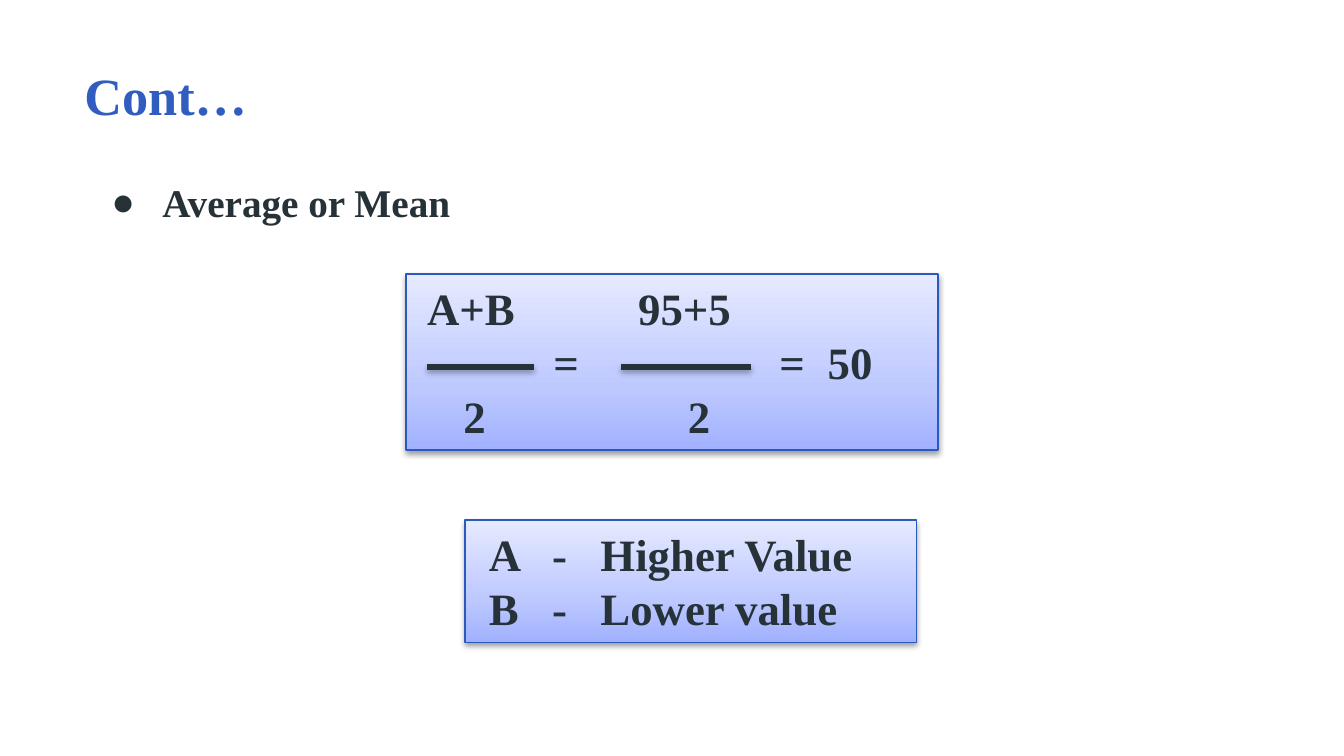
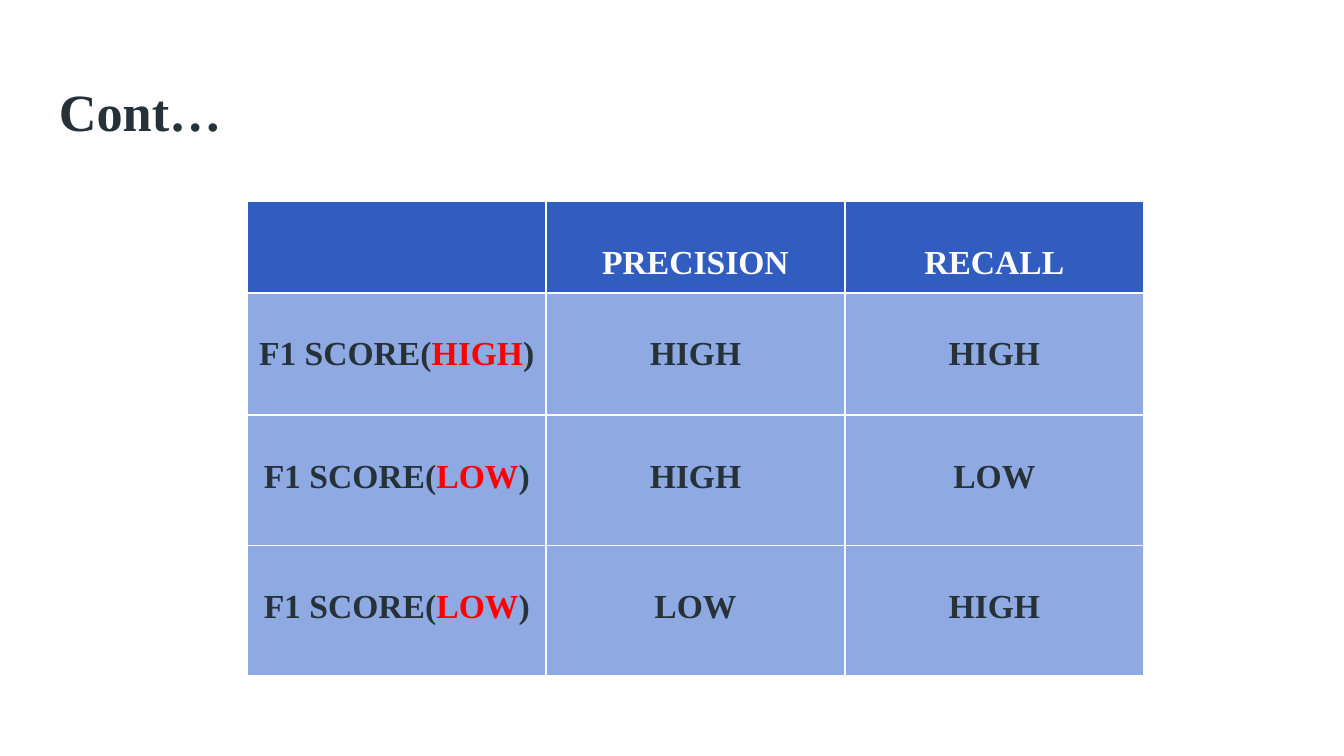
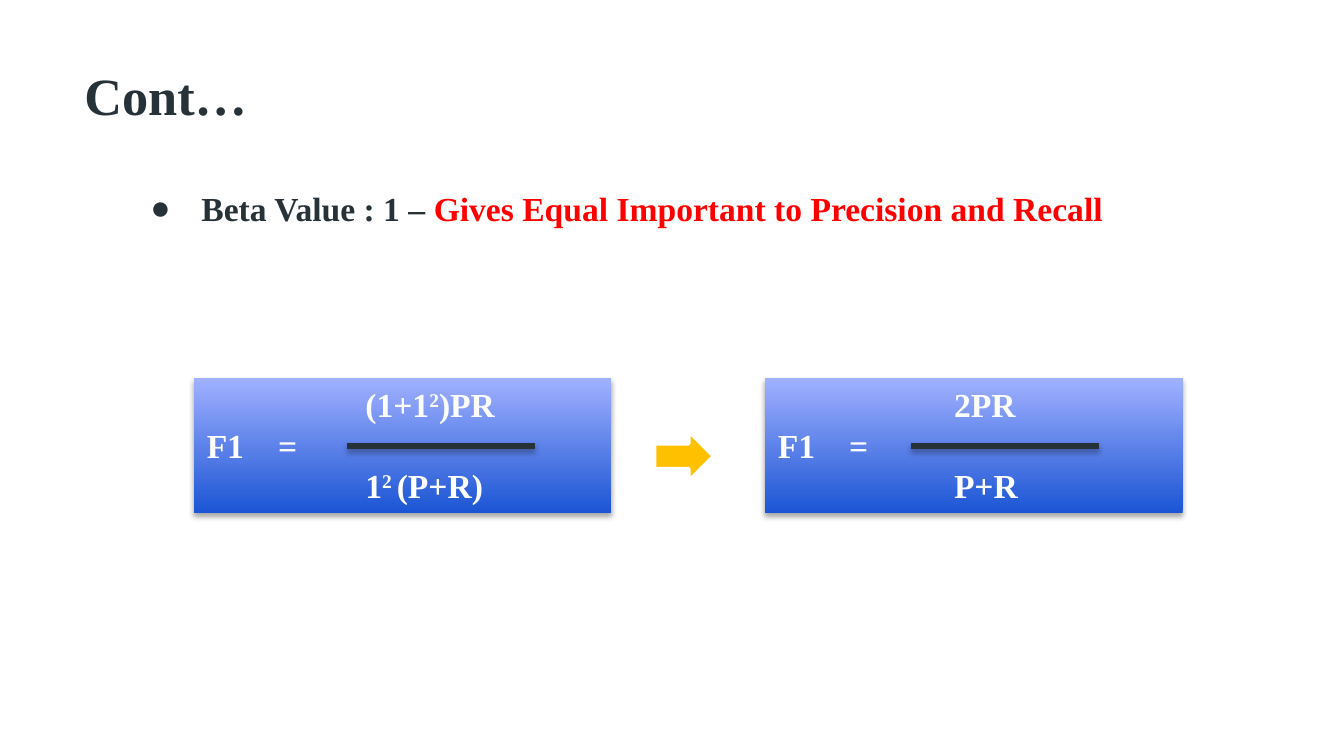
from dataclasses import dataclass
from typing import NamedTuple

from pptx import Presentation
from pptx import util as u
from pptx.dml.color import RGBColor
from pptx.enum import shapes, text
from pptx.oxml import ns, xmlchemy


@dataclass(frozen=True)
class Theme:
    font: str = "Times New Roman"
    ink: str = "263238"
    blue: str = "305DBF"
    edge: str = "2B5ABE"
    cell: str = "8FA9E3"
    red: str = "FF0000"
    gold: str = "FFC000"
    white: str = "FFFFFF"
    title: int = 28
    formula: int = 24
    topic: int = 21
    body: int = 18
    leading: float = 1.2
    pale: tuple = ((0, "A1B1FF"), (35, "BDC8FF"), (100, "E6EAFF"))
    deep: tuple = ((0, "1B55D4"), (100, "A1B1FF"))


THEME = Theme()


class Area(NamedTuple):
    left: float
    top: float
    width: float
    height: float

    def lengths(self) -> list:
        return [u.Inches(value) for value in self]


class Span(NamedTuple):
    words: str
    color: str = ""
    raised: bool = False


class Line(NamedTuple):
    spans: list
    tabs: tuple = ()


class Bar(NamedTuple):
    left: float
    right: float
    height: float


@dataclass(frozen=True)
class Panel:
    area: Area
    lines: list
    size: int
    color: str
    stops: tuple
    edge: str = ""
    shadow_alpha: int = 35
    shadow_distance: float = 1.8


def rgb(color: str) -> RGBColor:
    return RGBColor.from_string(color)


def add_child(parent, tag: str, **attributes):
    child = xmlchemy.OxmlElement(tag)
    for name, value in attributes.items():
        child.set(name, str(value))
    parent.append(child)
    return child


def write_spans(para, spans: list, size: int, color: str) -> None:
    para.font.name = THEME.font
    para.font.size = u.Pt(size)
    para.font.bold = True
    for span in spans:
        run = para.add_run()
        run.text = span.words
        run.font.color.rgb = rgb(span.color or color)
        if span.raised:
            run.font._element.set("baseline", "30000")


def write_lines(frame, lines: list, size: int, color: str, bullet: bool = False) -> None:
    frame.word_wrap = True
    frame.vertical_anchor = text.MSO_ANCHOR.TOP
    for index, line in enumerate(lines):
        para = frame.add_paragraph() if index else frame.paragraphs[0]
        para.alignment = text.PP_ALIGN.LEFT
        para.line_spacing = u.Pt(size * THEME.leading)
        props = para._p.get_or_add_pPr()
        if bullet:
            props.set("marL", str(u.Inches(0.5)))
            props.set("indent", str(u.Inches(-0.38)))
            add_child(add_child(props, "a:buClr"), "a:srgbClr", val=THEME.ink)
            add_child(props, "a:buFont", typeface=THEME.font)
            add_child(props, "a:buChar", char="●")
        if line.tabs:
            tab_list = add_child(props, "a:tabLst")
            for stop in line.tabs:
                add_child(tab_list, "a:tab", pos=u.Inches(stop), algn="l")
        write_spans(para, line.spans, size, color)


def add_text(page, area: Area, spans: list, size: int, color: str, bullet: bool = False) -> None:
    frame = page.shapes.add_textbox(*area.lengths()).text_frame
    frame.margin_left = frame.margin_right = u.Inches(0.1)
    frame.margin_top = frame.margin_bottom = u.Inches(0.1)
    write_lines(frame, [Line(spans)], size, color, bullet)


def add_title(page, area: Area, color: str = THEME.ink) -> None:
    add_text(page, area, [Span("Cont…")], THEME.title, color)


def add_shadow(shape, alpha: int, distance: float) -> None:
    props = shape._element.spPr
    effects = props.find(ns.qn("a:effectLst"))
    if effects is None:
        effects = add_child(props, "a:effectLst")
    shadow = add_child(effects, "a:outerShdw", blurRad=u.Pt(3.1), dist=u.Pt(distance),
                       dir=5400000, rotWithShape=0)
    add_child(add_child(shadow, "a:srgbClr", val="000000"), "a:alpha", val=alpha * 1000)


def add_panel(page, panel: Panel) -> None:
    box = page.shapes.add_shape(shapes.MSO_SHAPE.RECTANGLE, *panel.area.lengths())
    box.fill.gradient()
    box.fill.gradient_angle = 90
    stop_list = box._element.spPr.find(".//" + ns.qn("a:gsLst"))
    for stop in list(stop_list):
        stop_list.remove(stop)
    for position, color in panel.stops:
        stop = add_child(stop_list, "a:gs", pos=position * 1000)
        add_child(stop, "a:srgbClr", val=color)
    if panel.edge:
        box.line.color.rgb = rgb(panel.edge)
        box.line.width = u.Pt(0.75)
    else:
        box.line.fill.background()
    box.shadow.inherit = False
    add_shadow(box, panel.shadow_alpha, panel.shadow_distance)
    write_lines(box.text_frame, panel.lines, panel.size, panel.color)


def add_bar(page, bar: Bar) -> None:
    line = page.shapes.add_connector(
        shapes.MSO_CONNECTOR.STRAIGHT, u.Inches(bar.left), u.Inches(bar.height),
        u.Inches(bar.right), u.Inches(bar.height))
    line.line.color.rgb = rgb(THEME.ink)
    line.line.width = u.Pt(3)
    add_shadow(line, 35, 1.8)


def add_borders(cell) -> None:
    for side in "LRTB":
        border = add_child(cell._tc.get_or_add_tcPr(), f"a:ln{side}", w=u.Pt(1))
        add_child(add_child(border, "a:solidFill"), "a:srgbClr", val=THEME.white)


def add_score_table(page, area: Area, row_heights: list, rows: list) -> None:
    table = page.shapes.add_table(len(rows), len(rows[0]), *area.lengths()).table
    table.horz_banding = False
    for column in table.columns:
        column.width = u.Inches(area.width / len(rows[0]))
    for row_index, (height, row) in enumerate(zip(row_heights, rows)):
        table.rows[row_index].height = u.Inches(height)
        header = row_index == 0
        for column_index, spans in enumerate(row):
            cell = table.cell(row_index, column_index)
            add_borders(cell)
            cell.fill.solid()
            cell.fill.fore_color.rgb = rgb(THEME.blue if header else THEME.cell)
            cell.margin_left = cell.margin_right = u.Inches(0.07)
            cell.margin_top = u.Inches(0.32)
            cell.margin_bottom = u.Inches(0.04)
            para = cell.text_frame.paragraphs[0]
            para.alignment = text.PP_ALIGN.CENTER
            write_spans(para, spans, THEME.body, THEME.white if header else THEME.ink)


def build_average(page) -> None:
    add_title(page, Area(0.53, 0.37, 7.71, 0.77), THEME.blue)
    add_text(page, Area(0.61, 1.23, 8.73, 3.89), [Span("Average or Mean")],
             THEME.topic, THEME.ink, bullet=True)
    formula = [
        Line([Span("\tA+B\t95+5")], (0.06, 1.63)),
        Line([Span("\t=\t=\t50")], (1.0, 2.68, 3.04)),
        Line([Span("\t2\t2")], (0.33, 2.0)),
    ]
    legend = [Line([Span(f"\t{letter}\t-\t{meaning}")], (0.08, 0.55, 0.91))
              for letter, meaning in (("A", "Higher Value"), ("B", "Lower value"))]

    def add_pale_panel(area: Area, lines: list) -> None:
        add_panel(page, Panel(area, lines, THEME.formula, THEME.ink, THEME.pale,
                              THEME.edge, 38, 1.6))

    add_pale_panel(Area(3.02, 2.04, 3.96, 1.31), formula)
    for left, right in ((3.18, 3.97), (4.62, 5.59)):
        add_bar(page, Bar(left, right, 2.73))
    add_pale_panel(Area(3.46, 3.87, 3.36, 0.91), legend)


def build_scores(page) -> None:
    add_title(page, Area(0.34, 0.49, 9.32, 0.63))
    rows = [[[], [Span("PRECISION")], [Span("RECALL")]]]
    for score, precision, recall in (
        ("HIGH", "HIGH", "HIGH"),
        ("LOW", "HIGH", "LOW"),
        ("LOW", "LOW", "HIGH"),
    ):
        label = [Span("F1 SCORE("), Span(score, THEME.red), Span(")")]
        rows.append([label, [Span(precision)], [Span(recall)]])
    add_score_table(page, Area(1.84, 1.5, 6.67, 3.54), [0.68, 0.91, 0.97, 0.97], rows)


def build_beta(page) -> None:
    add_title(page, Area(0.53, 0.37, 7.71, 0.7))
    statement = [Span("Beta Value : 1 – "),
                 Span("Gives Equal Important to Precision and Recall", THEME.red)]
    add_text(page, Area(0.9, 1.3, 8.15, 3.83), statement, THEME.body, THEME.ink, bullet=True)
    square = Span("2", raised=True)
    fractions = (
        (1.44, 2.58, 1.18,
         [Span("\t(1+1"), square, Span(")PR")],
         [Span("\t1"), Span("2 ", raised=True), Span("(P+R)")]),
        (5.69, 6.78, 1.31, [Span("\t2PR")], [Span("\tP+R")]),
    )
    for left, bar_left, tab, numerator, denominator in fractions:
        lines = [Line(numerator, (tab,)), Line([Span("F1\t=")], (0.53,)),
                 Line(denominator, (tab,))]
        add_panel(page, Panel(Area(left, 2.81, 3.11, 1.01), lines, THEME.body,
                              THEME.white, THEME.deep))
        add_bar(page, Bar(bar_left, bar_left + 1.4, 3.32))
    arrow = page.shapes.add_shape(shapes.MSO_SHAPE.RIGHT_ARROW,
                                  *Area(4.87, 3.21, 0.44, 0.37).lengths())
    arrow.shadow.inherit = False
    arrow.fill.solid()
    arrow.fill.fore_color.rgb = rgb(THEME.gold)
    arrow.line.color.rgb = rgb(THEME.white)
    arrow.line.width = u.Pt(2)


def main() -> None:
    deck = Presentation()
    deck.slide_width = u.Inches(10)
    deck.slide_height = deck.slide_width * 9 // 16
    for build in (build_average, build_scores, build_beta):
        build(deck.slides.add_slide(deck.slide_layouts[6]))
    deck.save("out.pptx")


if __name__ == "__main__":
    main()
